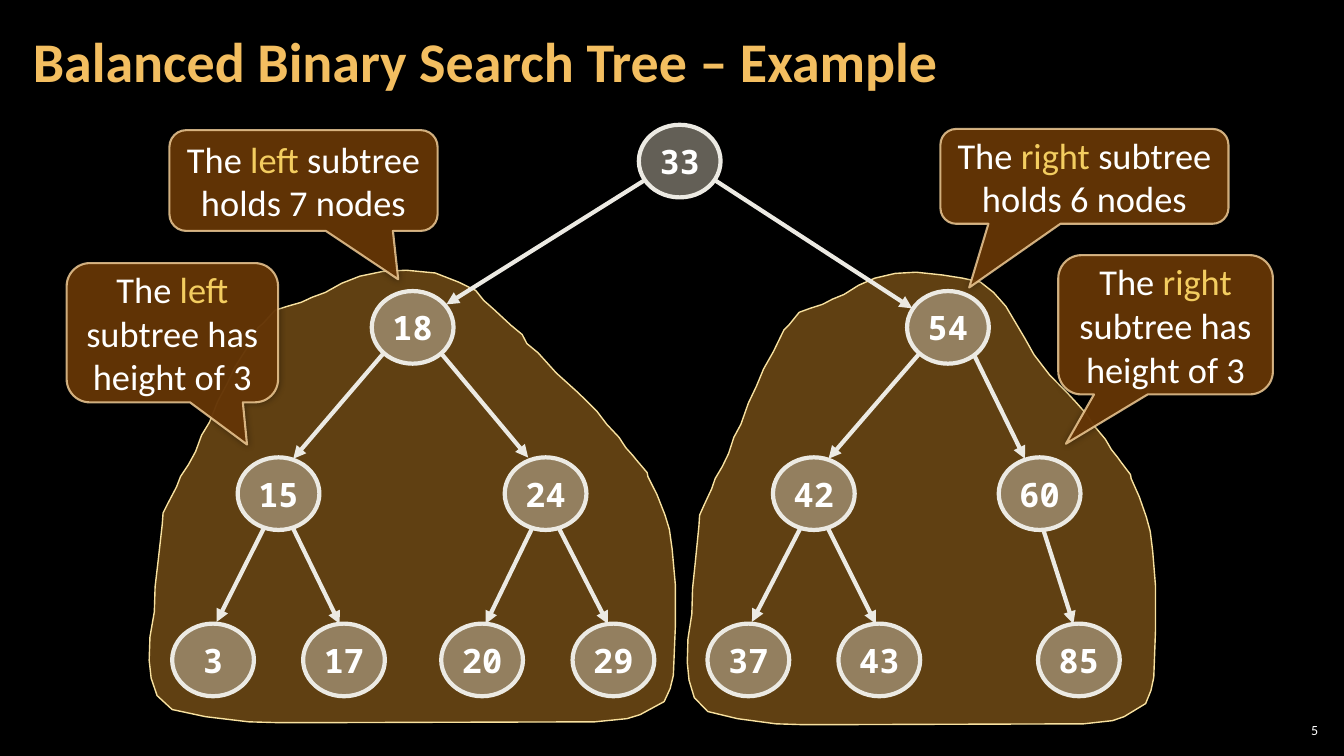
from lxml import etree
from pptx import Presentation
from pptx.dml.color import RGBColor
from pptx.enum import shapes, text
from pptx.oxml import ns
from pptx.util import Cm, Pt

BLACK = RGBColor(0x00, 0x00, 0x00)
WHITE = RGBColor(0xFF, 0xFF, 0xFF)
TITLE_GOLD = RGBColor(0xF3, 0xBE, 0x60)
WORD_GOLD = RGBColor(0xF3, 0xCD, 0x60)
HILL_FILL = RGBColor(0xF0, 0xA2, 0x2E)
HILL_LINE = RGBColor(0xF8, 0xE1, 0x9F)
NODE_FILL = RGBColor(0xC7, 0xBF, 0xAC)
NODE_LINE = RGBColor(0xEC, 0xEA, 0xE3)
CALLOUT_FILL = RGBColor(0x66, 0x36, 0x06)
CALLOUT_LINE = RGBColor(0xF8, 0xD4, 0x9E)


def paint(shape, fill, opacity, line, width):
    """Fill a shape with a translucent colour, outline it, drop the shadow."""
    shape.shadow.inherit = False
    shape.fill.solid()
    shape.fill.fore_color.rgb = fill
    shape.line.color.rgb = line
    shape.line.width = Pt(width)
    color = shape._element.spPr.find(ns.qn("a:solidFill"))[0]
    etree.SubElement(color, ns.qn("a:alpha"), val=str(opacity * 1000))


def add_run(paragraph, words, size, color, font="Calibri", bold=False):
    run = paragraph.add_run()
    run.text = words
    run.font.name = font
    run.font.size = Pt(size)
    run.font.bold = bold
    run.font.color.rgb = color


presentation = Presentation()
presentation.slide_width = Cm(33.87)
presentation.slide_height = Cm(19.05)
slide = presentation.slides.add_slide(presentation.slide_layouts[6])
slide.background.fill.solid()
slide.background.fill.fore_color.rgb = BLACK

# Hills behind the subtrees: same flanks and base, different right shoulder
hill = [
    (10.24, 6.81), (9.65, 6.84), (9.07, 6.96), (8.61, 7.14), (8.2, 7.37),
    (7.87, 7.49), (7.59, 7.62), (7.24, 7.72), (6.93, 7.82), (6.63, 8.15),
    (6.5, 8.26), (6.2, 8.81), (5.92, 9.25), (5.72, 9.68), (5.49, 10.11),
    (5.28, 10.64), (5.08, 10.97), (4.93, 11.38), (4.75, 11.71), (4.55, 12.01),
    (4.45, 12.27), (4.24, 12.67), (4.11, 12.93), (4.09, 13.21), (3.99, 14.1),
    (3.91, 14.78), (3.89, 15.42), (3.78, 16.05), (3.76, 16.64), (3.81, 17.09),
    (3.96, 17.53), (4.34, 17.88), (5.18, 18.06), (6.27, 18.19), (6.99, 18.21),
    (8.15, 18.21), (14.99, 18.19), (15.8, 18.11), (16.13, 18.01), (16.74, 17.68),
    (16.89, 17.35), (16.97, 17.02), (17.02, 15.8), (17.02, 14.73), (16.94, 13.84),
    (16.87, 13.34), (16.76, 12.98), (16.56, 12.47), (16.33, 12.01), (16.31, 11.91),
    (16.03, 11.58), (15.95, 11.48), (15.77, 11.28), (15.6, 11.02), (15.29, 10.69),
    (15.04, 10.36), (14.76, 10.08), (14.53, 9.86), (14.02, 9.4),
]
left_shoulder = [
    (13.56, 8.89), (13.28, 8.66), (13.16, 8.43), (12.88, 8.2), (12.45, 7.8),
    (12.19, 7.57), (11.99, 7.32), (11.56, 7.11), (10.97, 6.88),
]
right_shoulder = [
    (26.06, 8.94), (25.83, 8.53), (25.35, 7.72), (25.04, 7.37),
    (24.71, 7.11), (24.26, 7.01), (23.75, 6.93),
]
right_hill = [(17.32 + (x - 3.76) * 0.89, y + 0.05) for x, y in hill]
for outline in (right_hill + right_shoulder, hill + left_shoulder):
    points = [(Cm(x), Cm(y)) for x, y in outline]
    builder = slide.shapes.build_freeform(*points[0])
    builder.add_line_segments(points[1:], close=True)
    paint(builder.convert_to_shape(), HILL_FILL, 40, HILL_LINE, 1)

# Title and slide number: box, words, size, colour, bold, alignment, side inset
labels = [
    ((32.13, 18.14, 1.19, 0.53), "5", 10, WHITE, False, text.PP_ALIGN.RIGHT, 0.1),
    ((0.53, 0.1, 26.59, 3.07), "Balanced Binary Search Tree – Example", 40,
     TITLE_GOLD, True, text.PP_ALIGN.LEFT, 0.3),
]
for box, words, size, color, bold, alignment, inset in labels:
    frame = slide.shapes.add_textbox(*map(Cm, box)).text_frame
    frame.word_wrap = True
    frame.vertical_anchor = text.MSO_ANCHOR.MIDDLE
    frame.margin_left = frame.margin_right = Cm(inset)
    frame.margin_top = frame.margin_bottom = Cm(0.1)
    paragraph = frame.paragraphs[0]
    paragraph.alignment = alignment
    paragraph.line_spacing = 0.9 if bold else 1.0
    add_run(paragraph, words, size, color, bold=bold)

# Tree nodes, level by level: value and horizontal centre
NODE_WIDTH, NODE_HEIGHT = 2.06, 1.83
ROOT_Y, LEVEL_STEP = 4.06, 4.19
levels = [
    [(33, 17.13)],
    [(18, 10.4), (54, 23.89)],
    [(15, 7.02), (24, 13.75), (42, 20.51), (60, 26.2)],
    [(3, 5.37), (17, 8.67), (20, 12.15), (29, 15.46),
     (37, 18.86), (43, 22.16), (85, 27.19)],
]
for depth, nodes in enumerate(levels):
    top = ROOT_Y + depth * LEVEL_STEP - NODE_HEIGHT / 2
    for value, center in nodes:
        node = slide.shapes.add_shape(
            shapes.MSO_SHAPE.OVAL, Cm(center - NODE_WIDTH / 2), Cm(top),
            Cm(NODE_WIDTH), Cm(NODE_HEIGHT))
        paint(node, NODE_FILL, 50, NODE_LINE, 3)
        node.text_frame.word_wrap = False
        node.text_frame.vertical_anchor = text.MSO_ANCHOR.MIDDLE
        paragraph = node.text_frame.paragraphs[0]
        paragraph.alignment = text.PP_ALIGN.CENTER
        add_run(paragraph, str(value), 24, WHITE, "Noto Sans Mono", True)

# Arrows from parent to child: start x, start y, end x, end y
arrows = [
    (16.28, 4.52, 11.25, 7.67), (18.03, 4.55, 22.99, 7.77),
    (9.65, 8.92, 7.39, 11.56), (11.13, 8.92, 13.31, 11.53),
    (23.16, 8.92, 20.88, 11.56), (24.56, 8.97, 25.83, 11.56),
    (6.65, 13.31, 5.46, 15.67), (7.37, 13.28, 8.56, 15.72),
    (13.41, 13.31, 12.24, 15.72), (14.1, 13.34, 15.32, 15.72),
    (20.17, 13.31, 18.95, 15.67), (20.85, 13.28, 22.07, 15.72),
    (26.29, 13.34, 27.05, 15.72),
]
for ends in arrows:
    arrow = slide.shapes.add_connector(
        shapes.MSO_CONNECTOR.STRAIGHT, *map(Cm, ends))
    arrow.line.color.rgb = NODE_LINE
    arrow.line.width = Pt(3)
    properties = arrow._element.spPr
    etree.SubElement(properties.find(ns.qn("a:ln")), ns.qn("a:tailEnd"), type="triangle")
    etree.SubElement(properties, ns.qn("a:effectLst"))

# Callouts: box, pointer tip, highlighted side, rest of the sentence
callouts = [
    ((4.27, 3.28, 6.76, 2.54), (0.353, 0.98), "left", " subtree holds 7 nodes"),
    ((23.7, 3.25, 7.26, 2.39), (-0.4, 1.172), "right", " subtree holds 6 nodes"),
    ((26.67, 6.43, 5.41, 3.51), (-0.464, 0.854), "right", " subtree has height of 3"),
    ((1.68, 6.63, 5.33, 3.51), (0.353, 0.803), "left", " subtree has height of 3"),
]
for box, tip, side, rest in callouts:
    callout = slide.shapes.add_shape(
        shapes.MSO_SHAPE.ROUNDED_RECTANGULAR_CALLOUT, *map(Cm, box))
    callout.adjustments[0], callout.adjustments[1] = tip
    paint(callout, CALLOUT_FILL, 95, CALLOUT_LINE, 1.5)
    properties = callout._element.spPr
    line_color = properties.find(ns.qn("a:ln")).find(ns.qn("a:solidFill"))[0]
    etree.SubElement(line_color, ns.qn("a:alpha"), val="80000")
    shadow = etree.SubElement(
        properties.find(ns.qn("a:effectLst")), ns.qn("a:outerShdw"),
        blurRad=str(Pt(5)), dist="0", dir="0")
    shadow_color = etree.SubElement(shadow, ns.qn("a:srgbClr"), val=str(BLACK))
    etree.SubElement(shadow_color, ns.qn("a:alpha"), val="40000")
    callout.text_frame.word_wrap = True
    callout.text_frame.vertical_anchor = text.MSO_ANCHOR.MIDDLE
    paragraph = callout.text_frame.paragraphs[0]
    paragraph.alignment = text.PP_ALIGN.CENTER
    for words, color in (("The ", WHITE), (side, WORD_GOLD), (rest, WHITE)):
        add_run(paragraph, words, 26, color)

presentation.save("out.pptx")
